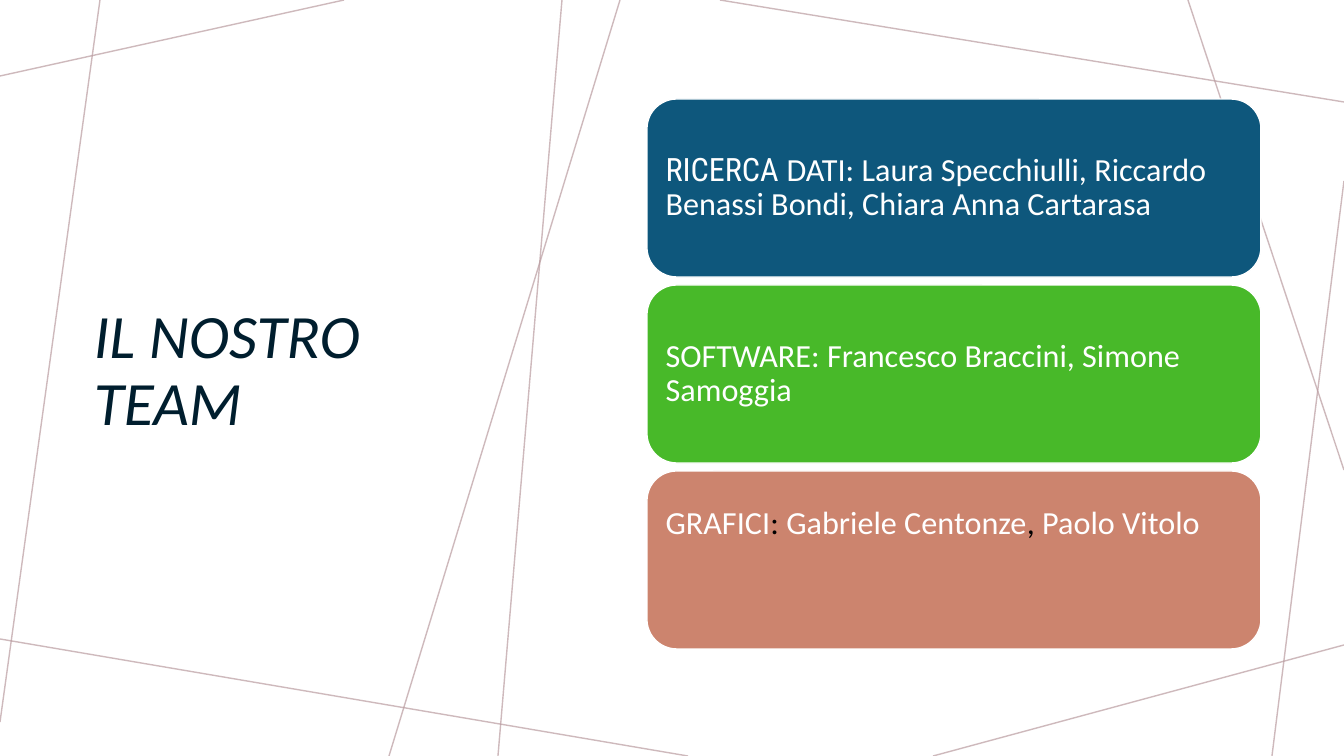
import pptx
import pptx.util
import pptx.dml.color
import pptx.enum.shapes
import pptx.enum.text
import pptx.oxml.ns
import lxml.etree

RGBColor = pptx.dml.color.RGBColor
ANCHOR = pptx.enum.text.MSO_ANCHOR

EMU_PER_PX = 12192000 / 1344
SLIDE_WIDTH, SLIDE_HEIGHT = 1344, 756

WHITE = RGBColor(0xFF, 0xFF, 0xFF)
BLACK = RGBColor(0x01, 0x00, 0x00)
NAVY = RGBColor(0x00, 0x1E, 0x2E)
MAUVE = RGBColor(0xBA, 0x9C, 0xA0)
BLUE = RGBColor(0x0E, 0x57, 0x7C)
GREEN = RGBColor(0x48, 0xB9, 0x29)
CORAL = RGBColor(0xCC, 0x84, 0x6E)

BODY_FONT = "Calibri"
CONDENSED_FONT = "Roboto Condensed"

BACKGROUND_LINES = [
    (344, 0, 0, 76),
    (100, 0, 0, 722),
    (688, 756, 0, 639),
    (1344, 645, 933, 756),
    (1344, 181, 1272, 756),
    (1344, 470, 1188, 0),
    (1344, 102, 720, 0),
    (620, 0, 389, 756),
    (562, 0, 498, 756),
]

CARD_LEFT, CARD_TOP, CARD_WIDTH, CARD_HEIGHT = 647, 99, 614, 178
CARD_PITCH = 186
CARD_INSET = 10
CHART_TEAM_INSET = 27

# Each card: fill, anchor, top inset, spans of (text, font, colour)
CARDS = [
    (BLUE, ANCHOR.MIDDLE, CARD_INSET, [
        ("RICERCA ", CONDENSED_FONT, WHITE),
        ("DATI: Laura Specchiulli, Riccardo Benassi Bondi, Chiara Anna Cartarasa",
         BODY_FONT, WHITE),
    ]),
    (GREEN, ANCHOR.MIDDLE, CARD_INSET, [
        ("SOFTWARE: Francesco Braccini, Simone Samoggia", BODY_FONT, WHITE),
    ]),
    (CORAL, ANCHOR.TOP, CHART_TEAM_INSET, [
        ("GRAFICI", BODY_FONT, WHITE),
        (":", BODY_FONT, BLACK),
        (" Gabriele Centonze", BODY_FONT, WHITE),
        (", ", BODY_FONT, BLACK),
        ("Paolo Vitolo", BODY_FONT, WHITE),
    ]),
]


def px(length):
    return pptx.util.Emu(round(length * EMU_PER_PX))


def add_background_line(page, ends):
    line = page.shapes.add_connector(
        pptx.enum.shapes.MSO_CONNECTOR.STRAIGHT, *map(px, ends))
    line.line.color.rgb = MAUVE
    line.line.width = pptx.util.Pt(1)
    qn = pptx.oxml.ns.qn
    properties = line._element.spPr
    color = properties.find(".//" + qn("a:srgbClr"))
    lxml.etree.SubElement(color, qn("a:alpha"), val="70000")
    lxml.etree.SubElement(properties, qn("a:effectLst"))


def add_span(para, text, font, size, color, italic=False):
    span = para.add_run()
    span.text = text
    span.font.name = font
    span.font.size = pptx.util.Pt(size)
    span.font.color.rgb = color
    span.font.italic = italic


def start_paragraph(shape, anchor):
    """Set up wrapped text in the shape and return its left-aligned paragraph."""
    frame = shape.text_frame
    frame.word_wrap = True
    frame.vertical_anchor = anchor
    para = frame.paragraphs[0]
    para.alignment = pptx.enum.text.PP_ALIGN.LEFT
    para.line_spacing = 0.9
    return para


def add_title(page, first_line, second_line):
    box = page.shapes.add_textbox(px(84), px(100), px(410), px(544))
    para = start_paragraph(box, ANCHOR.MIDDLE)
    add_span(para, first_line, BODY_FONT, 44, NAVY, italic=True)
    para.add_line_break()
    add_span(para, second_line, BODY_FONT, 44, NAVY, italic=True)


def add_card(page, top, fill, anchor, top_inset, spans):
    card = page.shapes.add_shape(
        pptx.enum.shapes.MSO_SHAPE.ROUNDED_RECTANGLE,
        px(CARD_LEFT), px(top), px(CARD_WIDTH), px(CARD_HEIGHT))
    card.shadow.inherit = False
    card.fill.solid()
    card.fill.fore_color.rgb = fill
    card.line.color.rgb = WHITE
    card.line.width = pptx.util.Pt(1)
    frame = card.text_frame
    frame.margin_left = frame.margin_right = frame.margin_bottom = px(CARD_INSET)
    frame.margin_top = px(top_inset)
    para = start_paragraph(card, anchor)
    for text, font, color in spans:
        add_span(para, text, font, 23, color)


def main():
    deck = pptx.Presentation()
    deck.slide_width = px(SLIDE_WIDTH)
    deck.slide_height = px(SLIDE_HEIGHT)
    page = deck.slides.add_slide(deck.slide_layouts[6])
    page.background.fill.solid()
    page.background.fill.fore_color.rgb = WHITE

    for ends in BACKGROUND_LINES:
        add_background_line(page, ends)
    add_title(page, "IL NOSTRO", "TEAM")
    for index, card in enumerate(CARDS):
        add_card(page, CARD_TOP + index * CARD_PITCH, *card)

    deck.save("out.pptx")


if __name__ == "__main__":
    main()
